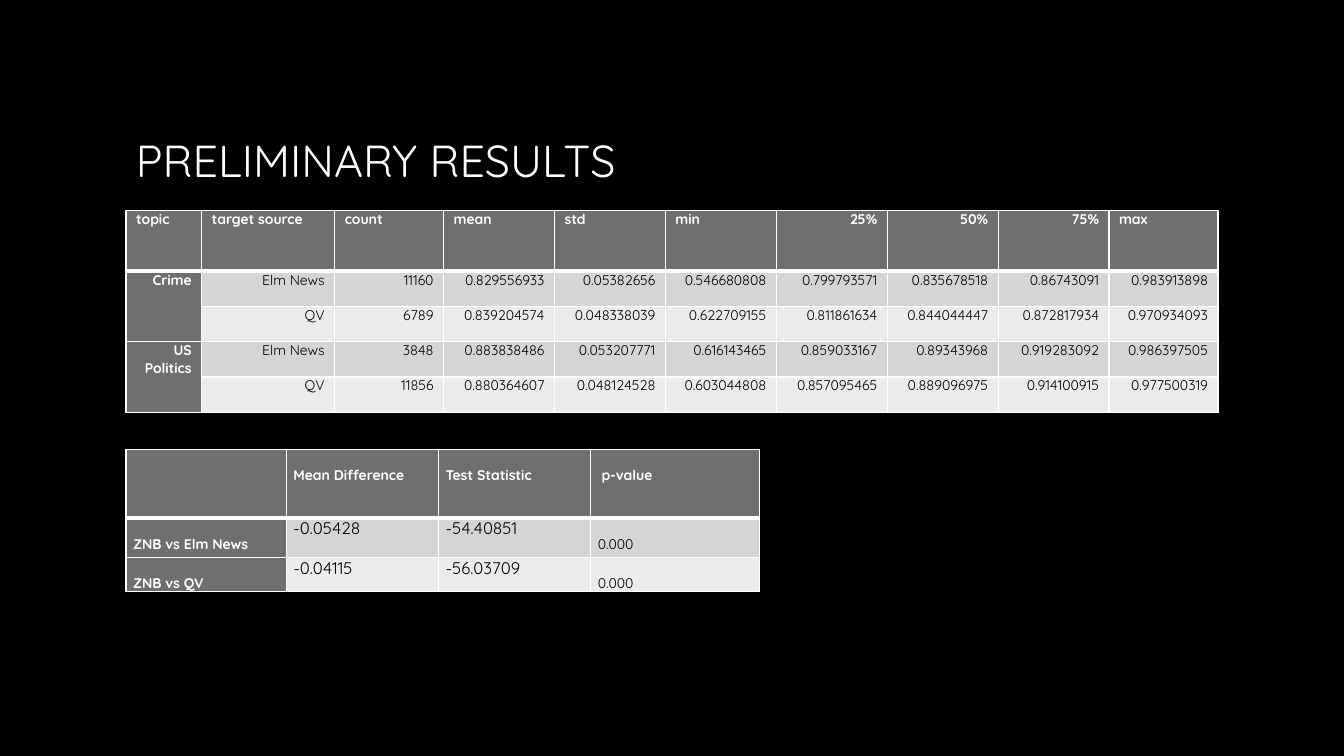
from lxml import etree
from pptx import Presentation
from pptx.dml.color import RGBColor
from pptx.enum.text import MSO_ANCHOR, PP_ALIGN
from pptx.oxml.ns import qn
from pptx.util import Inches, Pt

LEFT, RIGHT = PP_ALIGN.LEFT, PP_ALIGN.RIGHT
MIDDLE = MSO_ANCHOR.MIDDLE
BLACK = RGBColor(0x00, 0x00, 0x00)
WHITE = RGBColor(0xFF, 0xFF, 0xFF)
GRAY = RGBColor(0x6F, 0x6F, 0x6F)
BANDS = RGBColor(0xD5, 0xD5, 0xD5), RGBColor(0xEB, 0xEB, 0xEB)

STATS = [
    ["topic", "target source", "count", "mean", "std", "min", "25%", "50%", "75%", "max"],
    ["Crime", "Elm News", "11160", "0.829556933", "0.05382656", "0.546680808",
     "0.799793571", "0.835678518", "0.86743091", "0.983913898"],
    ["", "QV", "6789", "0.839204574", "0.048338039", "0.622709155",
     "0.811861634", "0.844044447", "0.872817934", "0.970934093"],
    ["US Politics", "Elm News", "3848", "0.883838486", "0.053207771", "0.616143465",
     "0.859033167", "0.89343968", "0.919283092", "0.986397505"],
    ["", "QV", "11856", "0.880364607", "0.048124528", "0.603044808",
     "0.857095465", "0.889096975", "0.914100915", "0.977500319"],
]
TESTS = [
    ["", "Mean Difference", "Test Statistic", " p-value"],
    ["ZNB vs Elm News", "-0.05428", "-54.40851", "0.000"],
    ["ZNB vs QV", "-0.04115", "-56.03709", "0.000"],
]


class Deck:
    """Holds the type style and the current slide."""

    def __init__(self, font):
        self.font = font
        self.file = Presentation()
        self.file.slide_width = Inches(13.33)
        self.file.slide_height = Inches(7.5)
        self.slide = self.file.slides.add_slide(self.file.slide_layouts[6])
        fill = self.slide.background.fill
        fill.solid()
        fill.fore_color.rgb = BLACK

    def label(self, para, text, size, color, bold=False):
        run = para.add_run()
        run.text = text
        font = run.font
        font.name, font.size, font.bold = self.font, Pt(size), bold
        font.color.rgb = color

    def title(self, text, x, y, w, h):
        frame = self.slide.shapes.add_textbox(*map(Inches, (x, y, w, h))).text_frame
        frame.word_wrap = True
        frame.vertical_anchor = MIDDLE
        self.label(frame.paragraphs[0], text, 32, WHITE)

    def border(self, cell, row):
        widths = {"L": 1, "R": 1, "T": 3 if row == 1 else 1, "B": 1 if row else 3}
        props = cell._tc.get_or_add_tcPr()
        for side, width in widths.items():
            line = etree.SubElement(props, qn("a:ln" + side), w=str(Pt(width)))
            fill = etree.SubElement(line, qn("a:solidFill"))
            etree.SubElement(fill, qn("a:srgbClr"), val=str(WHITE))

    def table(self, data, x, y, cols, rows, pad, style):
        box = map(Inches, (x, y, sum(cols), sum(rows)))
        grid = self.slide.shapes.add_table(len(rows), len(cols), *box).table
        grid.first_row = grid.horz_banding = False
        for col, width in zip(grid.columns, cols):
            col.width = Inches(width)
        for r, texts in enumerate(data):
            grid.rows[r].height = Inches(rows[r])
            for c, text in enumerate(texts):
                cell = grid.cell(r, c)
                head = r == 0 or c == 0
                self.border(cell, r)
                cell.fill.solid()
                cell.fill.fore_color.rgb = GRAY if head else BANDS[(r - 1) % 2]
                cell.margin_left = cell.margin_right = Inches(pad)
                cell.margin_top = cell.margin_bottom = 0
                if text:
                    size, space, align = style(r, c, text)
                    para = cell.text_frame.paragraphs[0]
                    para.alignment, para.line_spacing = align, space
                    self.label(para, text, size, WHITE if head else BLACK, head)
        return grid


def stat_style(r, c, text):
    return 10, 1.0, RIGHT if r or "%" in text else LEFT


def test_style(r, c, text):
    return (12, 1.0, LEFT) if r and c in (1, 2) else (10, 2.0, LEFT)


def main():
    deck = Deck("Quicksand")
    deck.title("PRELIMINARY RESULTS", 1.25, 0.54, 10.83, 2.08)
    cols = [0.75, 1.32, 1.08] + [1.1] * 6 + [1.08]
    stats = deck.table(STATS, 1.25, 2.09, cols, [0.6] + [0.35] * 4, 0.1, stat_style)
    for top in (1, 3):
        stats.cell(top, 0).merge(stats.cell(top + 1, 0))
    deck.table(TESTS, 1.25, 4.46, [1.59, 1.51, 1.51, 1.67], [0.68, 0.39, 0.34],
               0.07, test_style)
    deck.file.save("out.pptx")


if __name__ == "__main__":
    main()
